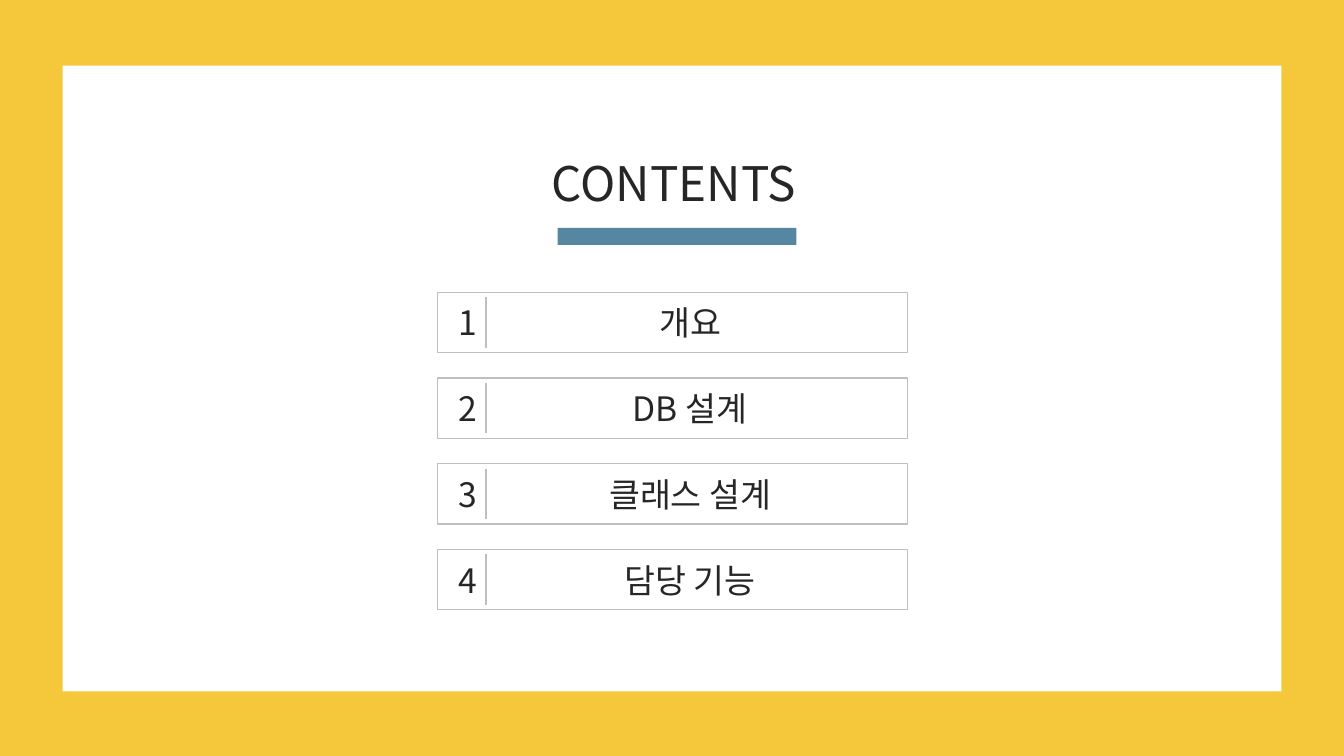
import pptx
import pptx.dml.color
import pptx.enum.shapes
import pptx.enum.text
import pptx.oxml
import pptx.util

Inches = pptx.util.Inches
Pt = pptx.util.Pt
FONT = "Noto Sans CJK KR"
COLORS = {
    "page": "FCFBFA",
    "frame": "F4C83A",
    "panel": "FFFFFF",
    "accent": "5587A2",
    "outline": "BFBFBF",
    "text": "262626",
}
CHAPTERS = ["개요", "DB 설계", "클래스 설계", "담당 기능"]


def color(name):
    return pptx.dml.color.RGBColor.from_string(COLORS[name])


def add_rectangle(shapes, left, top, width, height, fill=None, outline=None):
    box = shapes.add_shape(
        pptx.enum.shapes.MSO_SHAPE.RECTANGLE,
        Inches(left), Inches(top), Inches(width), Inches(height))
    box.shadow.inherit = False
    if fill:
        box.fill.solid()
        box.fill.fore_color.rgb = color(fill)
    else:
        box.fill.background()
    if outline:
        box.line.color.rgb = color(outline)
        box.line.width = Pt(1)
    else:
        box.line.fill.background()


def add_text(shapes, left, top, width, height, text, size, inset=0):
    box = shapes.add_textbox(Inches(left), Inches(top), Inches(width), Inches(height))
    frame = box.text_frame
    frame.word_wrap = True
    frame.margin_left = Inches(inset)
    frame.margin_right = frame.margin_top = frame.margin_bottom = 0
    frame.vertical_anchor = pptx.enum.text.MSO_ANCHOR.MIDDLE
    para = frame.paragraphs[0]
    para.text = text
    para.alignment = pptx.enum.text.PP_ALIGN.CENTER
    para.font.name = FONT
    para.font.size = Pt(size)
    para.font.color.rgb = color("text")
    for span in para.runs:
        east_asian = pptx.oxml.parse_xml(
            '<a:ea xmlns:a="http://schemas.openxmlformats.org/drawingml/2006/main" '
            f'typeface="{FONT}"/>')
        span._r.get_or_add_rPr().append(east_asian)


def add_divider(shapes, left, top, height):
    divider = shapes.add_connector(
        pptx.enum.shapes.MSO_CONNECTOR.STRAIGHT,
        Inches(left), Inches(top), Inches(left), Inches(top + height))
    divider.line.color.rgb = color("outline")
    divider.line.width = Pt(0)
    divider._element.spPr.append(pptx.oxml.parse_xml(
        '<a:effectLst xmlns:a="http://schemas.openxmlformats.org/drawingml/2006/main"/>'))


def add_frame(page, width, height):
    add_rectangle(page.shapes, 0, 0, width, height, "frame")
    add_rectangle(page.shapes, 0.62, 0.65, width - 1.24, height - 1.29, "panel")


def add_heading(page, left, top, width):
    add_rectangle(page.shapes, left + 1.17, top + 0.78, 2.37, 0.17, "accent")
    add_text(page.shapes, left, top, width, 0.67, "CONTENTS", 34)


def add_chapter(page, left, top, width, height, number, title):
    shapes = page.shapes.add_group_shape().shapes
    margin = 0.05
    inner_top, inner_height = top + margin, height - 2 * margin
    add_rectangle(shapes, left, top, width, height, outline="outline")
    add_divider(shapes, left + 0.48, inner_top, inner_height)
    add_text(shapes, left + 0.11, inner_top, 0.26, inner_height, str(number), 24, 0.1)
    add_text(shapes, left + 0.55, inner_top, width - 0.75, inner_height, title, 24)


def add_chapter_list(page, left, top, width, pitch):
    for index, title in enumerate(CHAPTERS):
        add_chapter(page, left, top + index * pitch, width, 0.6, index + 1, title)


def main():
    deck = pptx.Presentation()
    deck.slide_width = Inches(13.33)
    deck.slide_height = Inches(7.5)
    page = deck.slides.add_slide(deck.slide_layouts[6])
    page.background.fill.solid()
    page.background.fill.fore_color.rgb = color("page")
    add_frame(page, 13.33, 7.5)
    add_heading(page, 4.36, 1.48, 4.65)
    add_chapter_list(page, 4.34, 2.9, 4.66, 0.85)
    deck.save("out.pptx")


if __name__ == "__main__":
    main()
